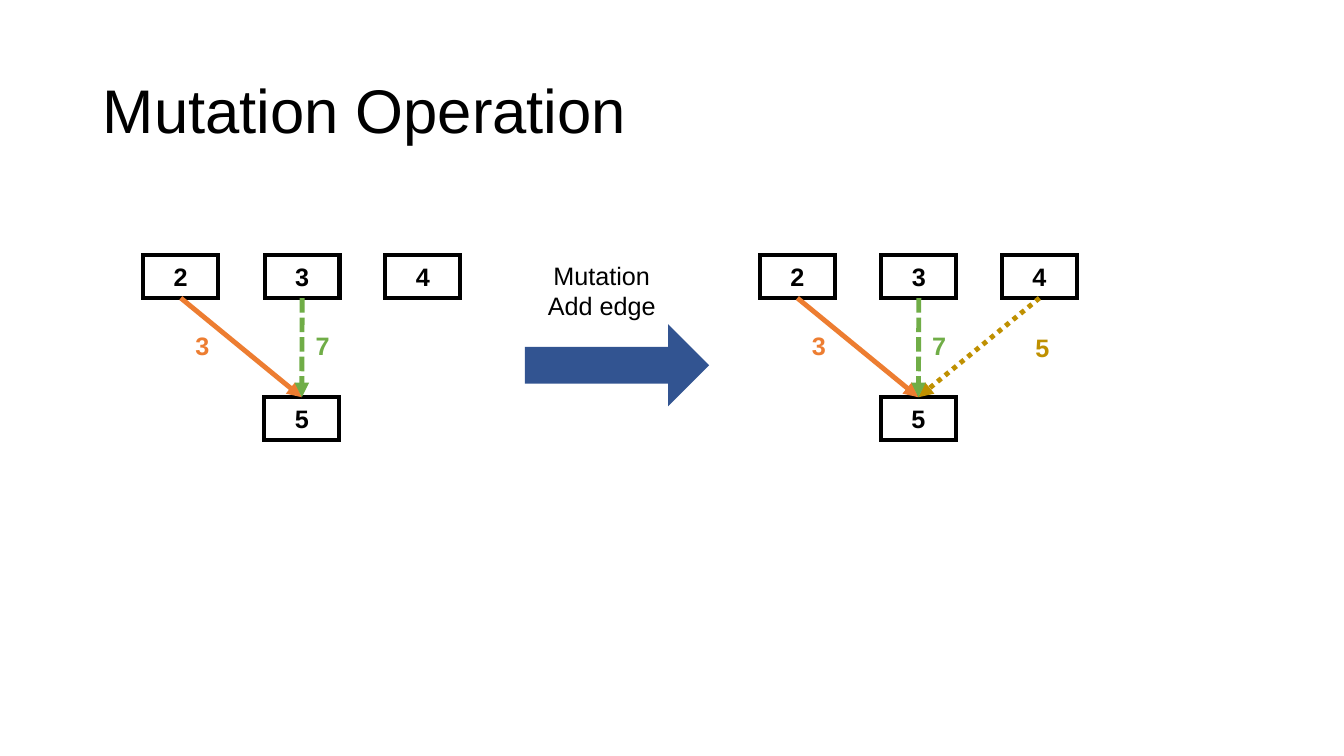
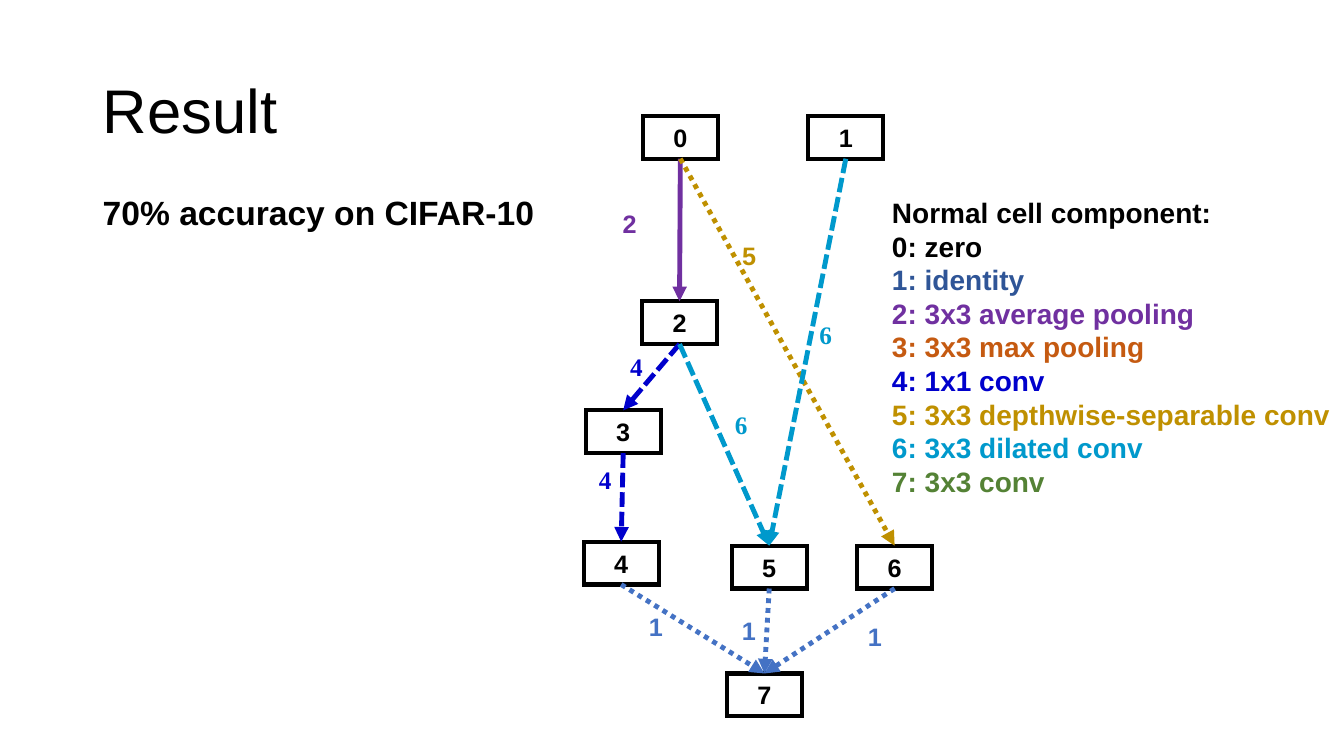
"""Build two slides on mutating and evaluating neural cell graphs."""
import lxml.etree
import pptx
import pptx.dml.color
import pptx.enum.shapes
import pptx.enum.text
import pptx.oxml.ns
import pptx.util

Cm, Pt = pptx.util.Cm, pptx.util.Pt
qn = pptx.oxml.ns.qn
SHAPE = pptx.enum.shapes.MSO_SHAPE
ALIGN = pptx.enum.text.PP_ALIGN
ANCHOR = pptx.enum.text.MSO_ANCHOR

COLORS = {
    "black": "000000", "blue": "4472C4", "navy": "2F5597", "outline": "325491",
    "purple": "7030A0", "orange": "ED7D31", "rust": "C55A11", "royal": "0000CC",
    "gold": "BF9000", "cyan": "0099CC", "green": "70AD47", "forest": "548235",
}
SANS, SERIF = "Arial", "Times New Roman"

# operation: colour, dash, label font
OPERATIONS = {
    "1": ("blue", "sysDot", SANS),
    "2": ("purple", "solid", SANS),
    "3": ("orange", "solid", SANS),
    "4": ("royal", "sysDash", SERIF),
    "5": ("gold", "sysDot", SANS),
    "6": ("cyan", "sysDash", SERIF),
    "7": ("green", "sysDash", SANS),
}

NODE_W, NODE_H = 1.89, 1.08
LABEL_W, LABEL_H = 0.86, 1.03

MUTATION_NODES = {"2": (3.61, 6.43), "3": (6.67, 6.43), "4": (9.71, 6.43), "5": (6.66, 10.01)}
BEFORE_EDGES = [("2", "5", "3", 4.67, 8.2), ("3", "5", "7", 7.7, 8.2)]
ADDED_EDGE = ("4", "5", "5", 10.3, 8.26)
AFTER_SHIFT = 15.54

RESULT_NODES = {
    "0": (16.2, 2.92), "1": (20.37, 2.92), "2": (16.18, 7.59), "3": (14.76, 10.34),
    "4": (14.71, 13.65), "5": (18.44, 13.75), "6": (21.6, 13.75), "7": (18.32, 16.97),
}
RESULT_EDGES = [
    ("0", "2", "2", 15.44, 5.13), ("0", "6", "5", 18.45, 5.94),
    ("1", "5", "6", 20.38, 7.92), ("2", "3", "4", 15.61, 8.74),
    ("2", "5", "6", 18.25, 10.19), ("3", "4", "4", 14.82, 11.58),
    ("4", "7", "1", 16.1, 15.29), ("5", "7", "1", 18.44, 15.37),
    ("6", "7", "1", 21.62, 15.54),
]
LEGEND = [
    ("Normal cell component:", "black"), ("0: zero", "black"), ("1: identity", "navy"),
    ("2: 3x3 average pooling", "purple"), ("3: 3x3 max pooling", "rust"),
    ("4: 1x1 conv", "royal"), ("5: 3x3 depthwise-separable conv", "gold"),
    ("6: 3x3 dilated conv", "cyan"), ("7: 3x3 conv", "forest"),
]


def rgb(name):
    """Return the named colour."""
    return pptx.dml.color.RGBColor.from_string(COLORS[name])


def write(tf, lines, size=18, bold=False, font=SANS, align=ALIGN.LEFT,
          anchor=ANCHOR.TOP, wrap=True, spacing=None):
    """Fill a text frame with (text, colour) lines."""
    tf.word_wrap, tf.vertical_anchor = wrap, anchor
    for i, (text, color) in enumerate(lines):
        p = tf.paragraphs[0] if i == 0 else tf.add_paragraph()
        p.alignment, p.line_spacing = align, spacing
        r = p.add_run()
        r.text = text
        r.font.size, r.font.bold, r.font.name = Pt(size), bold, font
        r.font.color.rgb = rgb(color)


def add_text(s, x, y, w, h, lines, **style):
    """Add a text box measured in centimetres."""
    write(s.shapes.add_textbox(Cm(x), Cm(y), Cm(w), Cm(h)).text_frame, lines, **style)


def stroke(sp, color, width, dash="solid", arrow=False):
    """Set a mitred line with its dash and arrowhead."""
    sp.line.color.rgb, sp.line.width = rgb(color), Pt(width)
    ln = sp.element.spPr.find(qn("a:ln"))
    lxml.etree.SubElement(ln, qn("a:prstDash"), val=dash)
    lxml.etree.SubElement(ln, qn("a:miter"), lim="800000")
    if arrow:
        lxml.etree.SubElement(ln, qn("a:tailEnd"), type="triangle")


def add_node(s, name, x, y):
    """Add a numbered graph node."""
    sp = s.shapes.add_shape(SHAPE.RECTANGLE, Cm(x), Cm(y), Cm(NODE_W), Cm(NODE_H))
    sp.shadow.inherit = False
    sp.fill.background()
    stroke(sp, "black", 3)
    write(sp.text_frame, [(name, "black")], bold=True, align=ALIGN.CENTER, anchor=ANCHOR.MIDDLE)
    return sp


def add_graph(s, nodes, edges, shift=0):
    """Draw nodes, then labelled edges from bottom to top sides."""
    boxes = {name: add_node(s, name, x + shift, y) for name, (x, y) in nodes.items()}
    for start, end, operation, x, y in edges:
        color, dash, font = OPERATIONS[operation]
        c = s.shapes.add_connector(pptx.enum.shapes.MSO_CONNECTOR.STRAIGHT, 0, 0, 0, 0)
        c.begin_connect(boxes[start], 2)
        c.end_connect(boxes[end], 0)
        stroke(c, color, 3.5, dash, arrow=True)
        lxml.etree.SubElement(c.element.spPr, qn("a:effectLst"))
        add_text(s, x + shift, y, LABEL_W, LABEL_H, [(operation, color)],
                 bold=True, font=font, align=ALIGN.CENTER, wrap=False)


def add_slide(prs, title):
    """Add a blank slide with the shared title style."""
    s = prs.slides.add_slide(prs.slide_layouts[6])
    add_text(s, 2.34, 1.02, 29.21, 3.68, [(title, "black")],
             size=44, anchor=ANCHOR.MIDDLE, spacing=0.9)
    return s


def mutation_slide(prs):
    """Show a graph before and after an edge is added."""
    s = add_slide(prs, "Mutation Operation")
    add_graph(s, MUTATION_NODES, BEFORE_EDGES)
    add_graph(s, MUTATION_NODES, [ADDED_EDGE] + BEFORE_EDGES, AFTER_SHIFT)
    arrow = s.shapes.add_shape(SHAPE.RIGHT_ARROW, Cm(13.49), Cm(8.81), Cm(4.01), Cm(0.79))
    arrow.shadow.inherit = False
    arrow.fill.solid()
    arrow.fill.fore_color.rgb = rgb("blue")
    stroke(arrow, "outline", 15)
    add_text(s, 13.54, 6.43, 3.25, 1.8, [("Mutation", "black"), ("Add edge", "black")],
             align=ALIGN.CENTER, wrap=False)


def result_slide(prs):
    """Show the resulting cell, its accuracy and the legend."""
    s = add_slide(prs, "Result")
    add_text(s, 22.23, 4.8, 11.94, 8.81, LEGEND, size=20, bold=True)
    add_graph(s, RESULT_NODES, RESULT_EDGES)
    add_text(s, 2.34, 4.7, 12.24, 1.27, [("70% accuracy on CIFAR-10", "black")],
             size=24, bold=True)


def main():
    """Build and save the presentation."""
    prs = pptx.Presentation()
    prs.slide_width, prs.slide_height = Cm(33.87), Cm(19.05)
    mutation_slide(prs)
    result_slide(prs)
    prs.save("out.pptx")


if __name__ == "__main__":
    main()
